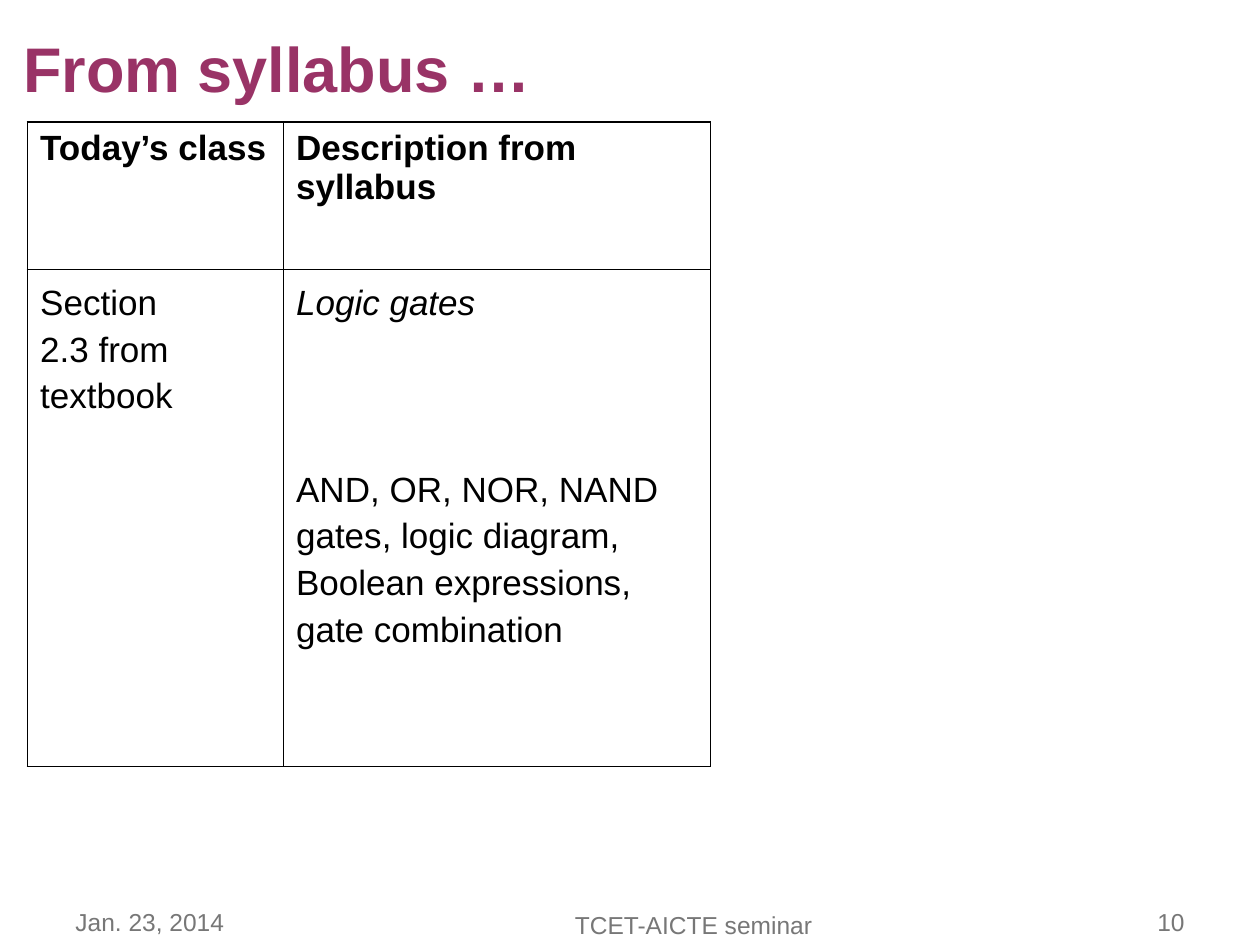
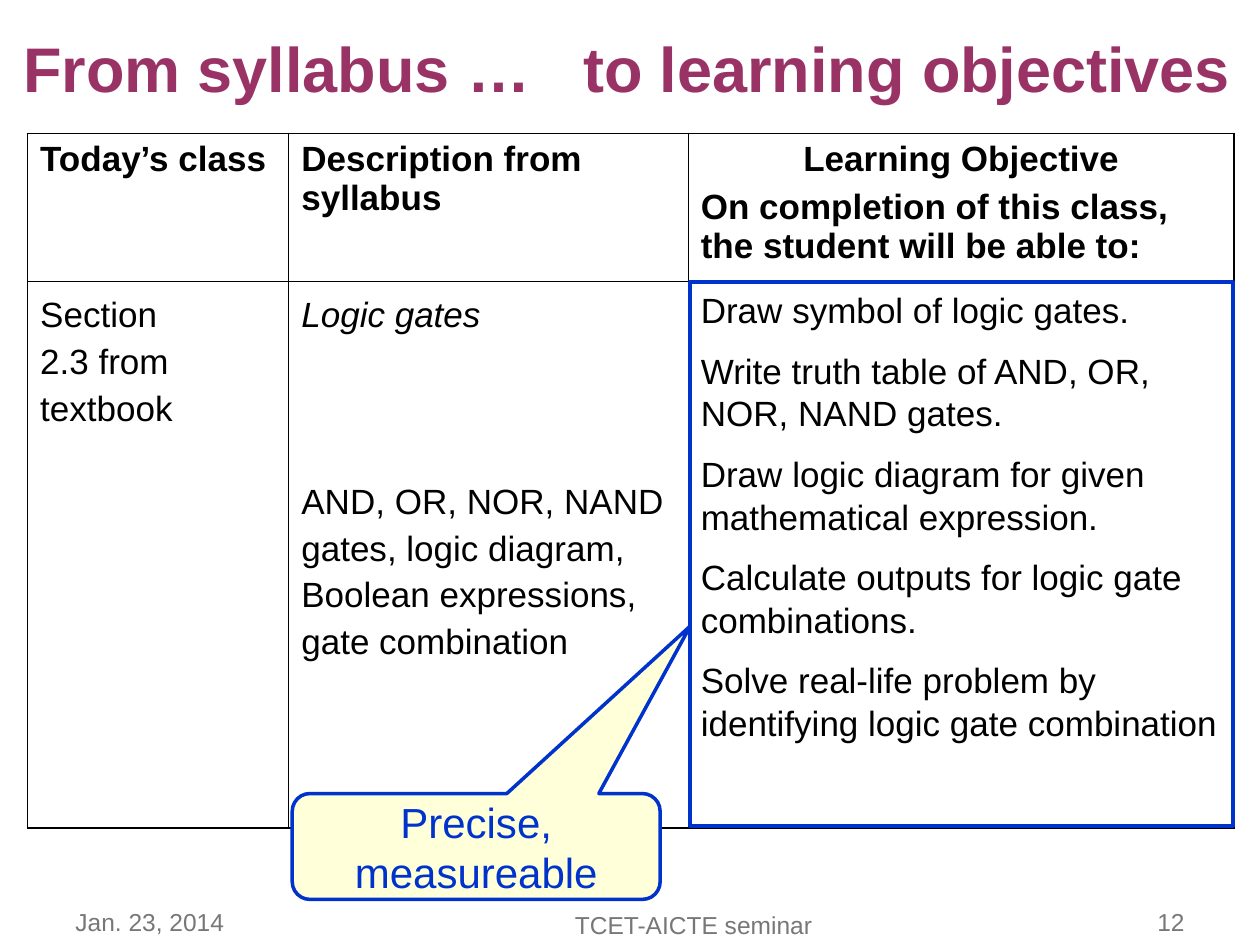
import pptx
import pptx.dml.color
import pptx.enum.shapes
import pptx.enum.text
import pptx.oxml
import pptx.oxml.ns
import pptx.util
from dataclasses import dataclass

Pt = pptx.util.Pt
RGB = pptx.dml.color.RGBColor.from_string
Align = pptx.enum.text.PP_ALIGN
Anchor = pptx.enum.text.MSO_ANCHOR
Shape = pptx.enum.shapes.MSO_SHAPE


@dataclass(frozen=True)
class Theme:
    font: str = "Arial"
    title_colour: str = "993366"
    text_colour: str = "000000"
    footer_colour: str = "777777"
    accent: str = "0033CC"
    callout_fill: str = "FFFFD9"
    title_size: float = 36
    table_size: float = 20
    callout_size: float = 24
    footer_size: float = 14
    outer_border: float = 1.08
    inner_border: float = 0.45


theme = Theme()


def style(paragraph, size, colour, bold=False, italic=False, align=Align.LEFT):
    paragraph.alignment = align
    font = paragraph.font
    font.name, font.size = theme.font, Pt(size)
    font.bold, font.italic = bold, italic
    font.color.rgb = RGB(colour)


def border(cell, side, width):
    """Draw one side (L, R, T or B) of a cell; call in that order."""
    cell._tc.get_or_add_tcPr().append(pptx.oxml.parse_xml(
        f'<a:ln{side} {pptx.oxml.ns.nsdecls("a")} w="{int(Pt(width))}">'
        f'<a:solidFill><a:srgbClr val="{theme.text_colour}"/></a:solidFill></a:ln{side}>'))


headers = [
    ["Today’s class"],
    ["Description from syllabus"],
    ["Learning Objective", "On completion of this class, the student will be able to:"],
]
contents = [
    ["Section", "2.3 from", "textbook"],
    ["Logic gates",
     "AND, OR, NOR, NAND gates, logic diagram, Boolean expressions, gate combination"],
    ["Draw symbol of logic gates.",
     "Write truth table of AND, OR, NOR, NAND gates.",
     "Draw logic diagram for given mathematical expression.",
     "Calculate outputs for logic gate combinations.",
     "Solve real-life problem by identifying logic gate combination"],
]
content_spacing = [(1.2, 0), (1.2, 80), (1.1, 10)]  # line spacing, points before
header_spacing = (1, 5)

# title, page number, table top, column widths, row heights
pages = [
    ("From syllabus …", "10", 69.75, [146.25, 244], [84.25, 284]),
    ("From syllabus …\tto learning objectives", "12", 76.25, [149.25, 228.25, 312], [84.75, 312.25]),
]
table_left = 15.75

presentation = pptx.Presentation()
presentation.slide_width, presentation.slide_height = Pt(720), Pt(540)

for title_text, page_number, table_top, column_widths, row_heights in pages:
    slide = presentation.slides.add_slide(presentation.slide_layouts[5])

    title = slide.shapes.title
    title.left, title.top, title.width, title.height = Pt(6), Pt(13.5), Pt(714), Pt(50.5)
    title.text_frame.text = title_text
    title.text_frame.auto_size = pptx.enum.text.MSO_AUTO_SIZE.NONE
    title.text_frame.vertical_anchor = Anchor.TOP
    paragraph = title.text_frame.paragraphs[0]
    paragraph._p.get_or_add_pPr().append(pptx.oxml.parse_xml(
        f'<a:tabLst {pptx.oxml.ns.nsdecls("a")}><a:tab pos="{int(Pt(320))}" algn="l"/></a:tabLst>'))
    style(paragraph, theme.title_size, theme.title_colour, bold=True)

    column_count = len(column_widths)
    table = slide.shapes.add_table(
        2, column_count, Pt(table_left), Pt(table_top),
        Pt(sum(column_widths)), Pt(sum(row_heights))).table
    table.first_row = table.horz_banding = False
    for column, width in zip(table.columns, column_widths):
        column.width = Pt(width)
    for row, height in zip(table.rows, row_heights):
        row.height = Pt(height)

    for row_index in range(2):
        is_header = row_index == 0
        for column_index in range(column_count):
            cell = table.cell(row_index, column_index)
            outer_sides = {"L": column_index == 0, "R": column_index == column_count - 1,
                           "T": is_header, "B": not is_header}
            for side, is_outer in outer_sides.items():
                border(cell, side, theme.outer_border if is_outer else theme.inner_border)
            cell.fill.background()

            texts = (headers if is_header else contents)[column_index]
            line_spacing, space_before = header_spacing if is_header else content_spacing[column_index]
            cell.text_frame.text = "\n".join(texts)
            for index, paragraph in enumerate(cell.text_frame.paragraphs):
                paragraph.line_spacing = line_spacing
                if index and space_before:
                    paragraph.space_before = Pt(space_before)
                style(paragraph, theme.table_size, theme.text_colour, bold=is_header,
                      italic=texts[index] == "Logic gates",
                      align=Align.CENTER if texts[index] == "Learning Objective" else Align.LEFT)

    if column_count == 3:
        callout = slide.shapes.add_shape(
            Shape.ROUNDED_RECTANGULAR_CALLOUT, Pt(167), Pt(453.5), Pt(210.25), Pt(60.5))
        for index, adjustment in enumerate((0.582, -2.083, 0.167)):
            callout.adjustments[index] = adjustment
        callout.fill.solid()
        callout.fill.fore_color.rgb = RGB(theme.callout_fill)
        callout.text_frame.text = "Precise, measureable"
        callout.text_frame.word_wrap = True
        callout.text_frame.vertical_anchor = Anchor.MIDDLE
        style(callout.text_frame.paragraphs[0], theme.callout_size, theme.accent, align=Align.CENTER)

        objectives_frame = slide.shapes.add_shape(
            Shape.RECTANGLE, Pt(table_left + sum(column_widths[:2]) + 1),
            Pt(table_top + row_heights[0]), Pt(column_widths[2] - 1.75), Pt(row_heights[1] - 1.25))
        objectives_frame.fill.background()

        for shape, line_width in ((callout, 2), (objectives_frame, 2.25)):
            shape.shadow.inherit = False
            shape.line.color.rgb = RGB(theme.accent)
            shape.line.width = Pt(line_width)

    for text, left, top, width, align in (
            ("TCET-AICTE seminar", 282.25, 516.25, 228.25, Align.CENTER),
            (page_number, 581.75, 514.75, 102.25, Align.RIGHT),
            ("Jan. 23, 2014", 36, 514.75, 167.75, Align.LEFT)):
        footer = slide.shapes.add_textbox(Pt(left), Pt(top), Pt(width), Pt(31.75))
        footer.text_frame.word_wrap = True
        footer.text_frame.text = text
        style(footer.text_frame.paragraphs[0], theme.footer_size, theme.footer_colour, align=align)

presentation.save("out.pptx")
